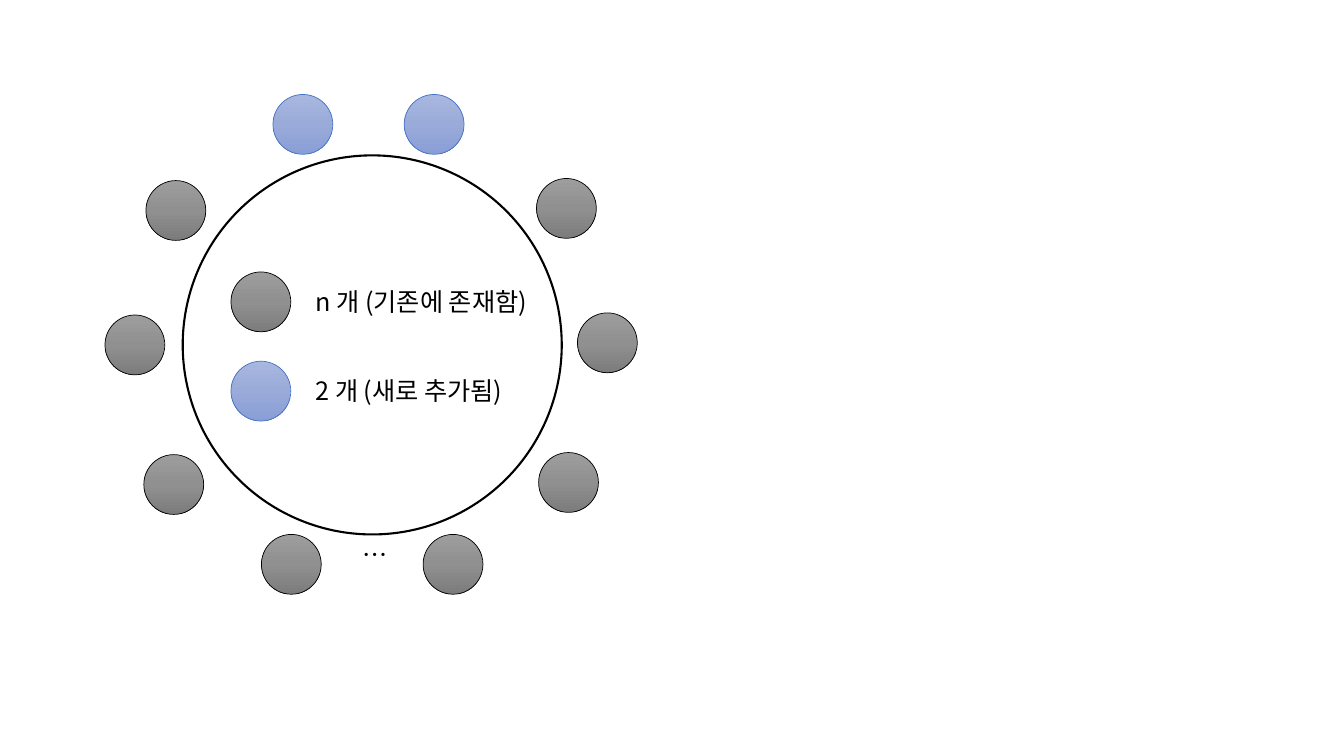
from copy import deepcopy
from dataclasses import dataclass

from lxml import etree
from pptx import Presentation
from pptx.dml.color import RGBColor
from pptx.enum.shapes import MSO_SHAPE
from pptx.oxml.ns import qn
from pptx.util import Pt

PX = 9525
OVAL = MSO_SHAPE.OVAL


@dataclass(frozen=True)
class Theme:
    font: str = "Noto Sans CJK KR"
    text_size: int = 18
    ink: str = "000000"
    paper: str = "FFFFFF"
    new_line: str = "4472C4"
    new_stops: tuple = ("A8B7DF", "9AABD9", "889ED7")
    old_stops: tuple = ("9D9D9D", "909090", "7C7C7C")
    ring_width: float = 1.5
    node_width: float = 0.5


THEME = Theme()
NODE_SIZE = 57


def add_circle(slide, left, top, size, line_color, line_width):
    shape = slide.shapes.add_shape(OVAL, left * PX, top * PX, size * PX, size * PX)
    shape.shadow.inherit = False
    shape.line.color.rgb = RGBColor.from_string(line_color)
    shape.line.width = Pt(line_width)
    return shape


def add_node(slide, left, top, is_new=False):
    line_color = THEME.new_line if is_new else THEME.ink
    colors = THEME.new_stops if is_new else THEME.old_stops
    shape = add_circle(slide, left, top, NODE_SIZE, line_color, THEME.node_width)
    shape.fill.gradient()
    shape.fill.gradient_angle = 270
    first_stop = shape._element.spPr.find(".//" + qn("a:gs"))
    middle_stop = deepcopy(first_stop)
    middle_stop.set("pos", "50000")
    first_stop.addnext(middle_stop)
    for stop, color in zip(shape.fill.gradient_stops, colors):
        stop.color.rgb = RGBColor.from_string(color)


def add_label(slide, text, left, top, width):
    box = slide.shapes.add_textbox(left * PX, top * PX, width * PX, 38 * PX)
    box.text_frame.word_wrap = True
    run = box.text_frame.paragraphs[0].add_run()
    run.text = text
    run.font.size = Pt(THEME.text_size)
    run.font.name = THEME.font
    run.font.color.rgb = RGBColor.from_string(THEME.ink)
    east_asian = etree.SubElement(run.font._element, qn("a:ea"))
    east_asian.set("typeface", THEME.font)


def draw_ring(slide, left, top, width, height):
    ring = add_circle(slide, left + 74, top + 58, 361, THEME.ink, THEME.ring_width)
    ring.fill.solid()
    ring.fill.fore_color.rgb = RGBColor.from_string(THEME.paper)
    for x in (160, 285):
        add_node(slide, left + x, top, is_new=True)
    for x, y in ((39, 82), (0, 210), (37, 343)):
        add_node(slide, left + x, top + y)
        add_node(slide, left + width - NODE_SIZE - x, top + y - 2)
    for x in (149, 303):
        add_node(slide, left + x, top + height - NODE_SIZE)
    add_label(slide, "…", left + 236, top + height - NODE_SIZE, 38)


def draw_legend(slide, left, top, row_step):
    entries = (("n 개 (기존에 존재함)", 222, False), ("2 개 (새로 추가됨)", 201, True))
    for row, (text, width, is_new) in enumerate(entries):
        row_top = top + row * row_step
        add_node(slide, left, row_top, is_new)
        add_label(slide, text, left + 71, row_top + 9, width)


def main():
    presentation = Presentation()
    presentation.slide_width = 1280 * PX
    presentation.slide_height = 720 * PX
    slide = presentation.slides.add_slide(presentation.slide_layouts[6])
    draw_ring(slide, 100, 90, 507, 476)
    draw_legend(slide, 220, 259, 85)
    presentation.save("out.pptx")


if __name__ == "__main__":
    main()
